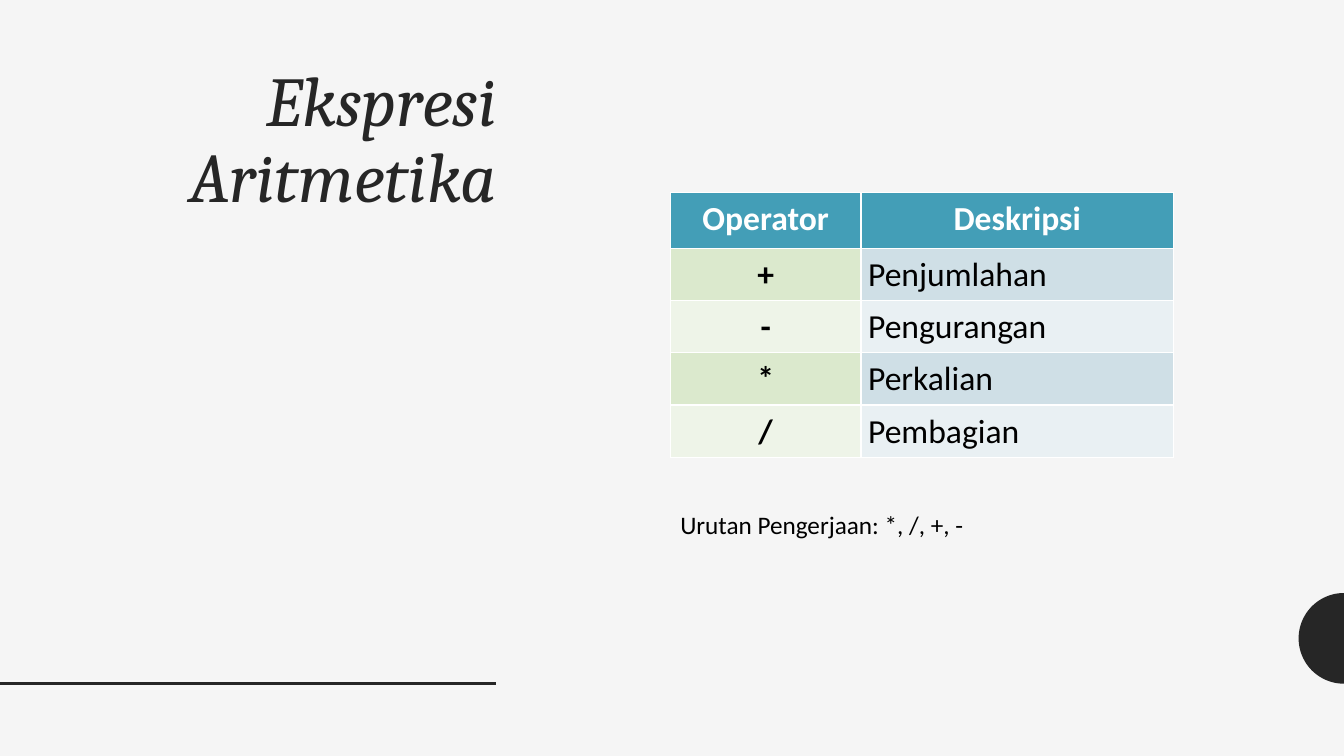
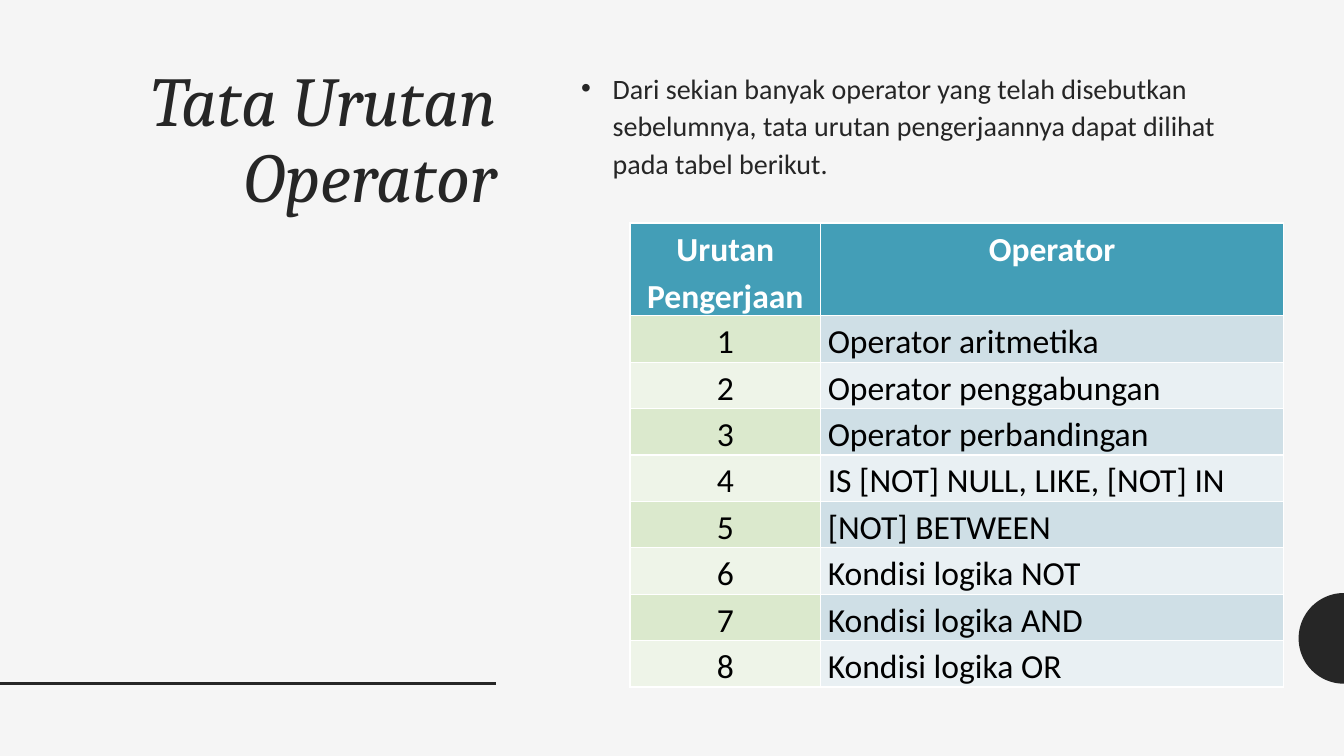
import math
from collections import namedtuple
from dataclasses import dataclass

import lxml.etree
import pptx
import pptx.dml.color
import pptx.enum.shapes
import pptx.enum.text
import pptx.oxml
import pptx.oxml.ns
import pptx.util

Box = namedtuple("Box", "x y w h")
ALIGN = pptx.enum.text.PP_ALIGN
qn = pptx.oxml.ns.qn


@dataclass(frozen=True)
class Theme:
    paper: str = "F5F5F5"
    ink: str = "262626"
    black: str = "000000"
    white: str = "FFFFFF"
    header: str = "439EB7"
    key_bands: tuple = ("DBE9CD", "EEF4E8")
    text_bands: tuple = ("CFDFE6", "E9F0F3")
    title_font: str = "Cambria"
    body_font: str = "Calibri"
    title_size: int = 50
    table_size: int = 24
    body_size: int = 20
    note_size: int = 18


T = Theme()
COLUMNS, ROWS = 160, 90
prs = pptx.Presentation()
prs.slide_width = pptx.util.Inches(13.33)
prs.slide_height = pptx.util.Inches(7.5)

# Grid regions shared by the slides
TITLE = Box(10, 7.3, 50.3, 65)
RULE = Box(0, 81.4, 59, 0)
DISC = Box(154.6, 70.6, 5.4, 10.8)


def gx(columns):
    return round(prs.slide_width * columns / COLUMNS)


def gy(rows):
    return round(prs.slide_height * rows / ROWS)


def place(box):
    return gx(box.x), gy(box.y), gx(box.w), gy(box.h)


def rgb(code):
    return pptx.dml.color.RGBColor.from_string(code)


def paint(fill, code):
    fill.solid()
    fill.fore_color.rgb = rgb(code)


def write(tf, text, size, color, font=T.body_font, bold=False, italic=False,
          align=ALIGN.LEFT, leading=1.0, before=0, after=0):
    tf.word_wrap = True
    p = tf.paragraphs[0]
    p.alignment, p.line_spacing = align, leading
    p.space_before, p.space_after = pptx.util.Pt(before), pptx.util.Pt(after)
    r = p.add_run()
    r.text = text
    r.font.name, r.font.size = font, pptx.util.Pt(size)
    r.font.bold, r.font.italic = bold, italic
    r.font.color.rgb = rgb(color)
    return p


def add_text(s, box, text, size, color, **style):
    return write(s.shapes.add_textbox(*place(box)).text_frame, text, size, color, **style)


def add_half_disc(s, box, steps=48):
    right, middle = gx(box.x + box.w), gy(box.y + box.h / 2)
    angles = [math.pi * (0.5 + i / steps) for i in range(steps + 1)]
    points = [(round(right + gx(box.w) * math.cos(a)),
               round(middle + gy(box.h / 2) * math.sin(a))) for a in angles]
    builder = s.shapes.build_freeform(*points[0], scale=1.0)
    builder.add_line_segments(points[1:], close=True)
    sp = builder.convert_to_shape()
    sp.shadow.inherit = False
    paint(sp.fill, T.ink)
    sp.line.fill.background()


def add_rule(s, box):
    x, y, w, h = place(box)
    line = s.shapes.add_connector(pptx.enum.shapes.MSO_CONNECTOR.STRAIGHT, x, y, x + w, y + h)
    line.line.color.rgb = rgb(T.ink)
    line.line.width = pptx.util.Pt(2)
    lxml.etree.SubElement(line._element.spPr, qn("a:effectLst"))


def add_slide(title):
    s = prs.slides.add_slide(prs.slide_layouts[6])
    paint(s.background.fill, T.paper)
    add_half_disc(s, DISC)
    add_rule(s, RULE)
    add_text(s, TITLE, title, T.title_size, T.ink, font=T.title_font,
             italic=True, align=ALIGN.RIGHT, leading=0.9)
    return s


def add_bullet(p, indent):
    pPr = p._p.get_or_add_pPr()
    pPr.set("marL", str(indent))
    pPr.set("indent", str(-indent))
    lxml.etree.SubElement(pPr, qn("a:buFont")).set("typeface", "Arial")
    lxml.etree.SubElement(pPr, qn("a:buChar")).set("char", "•")


def add_borders(cell):
    tcPr = cell._tc.get_or_add_tcPr()
    for i, side in enumerate(("lnL", "lnR", "lnT", "lnB")):
        ln = pptx.oxml.parse_xml(
            f'<a:{side} xmlns:a="http://schemas.openxmlformats.org/drawingml/2006/main" '
            f'w="{pptx.util.Pt(1)}"><a:solidFill><a:srgbClr val="{T.white}"/>'
            f'</a:solidFill></a:{side}>')
        tcPr.insert(i, ln)


def add_operator_table(s, box, key_width, header_height, rows, bold_keys):
    table = s.shapes.add_table(len(rows), 2, *place(box)).table
    table.horz_banding = False
    for column, width in zip(table.columns, (key_width, box.w - key_width)):
        column.width = gx(width)
    row_height = (box.h - header_height) / (len(rows) - 1)
    for i, values in enumerate(rows):
        table.rows[i].height = gy(row_height if i else header_height)
        for j, value in enumerate(values):
            cell = table.cell(i, j)
            cell.margin_left = cell.margin_right = gx(0.85)
            cell.margin_top = cell.margin_bottom = 0
            bands = (T.key_bands, T.text_bands)[j]
            paint(cell.fill, bands[(i - 1) % 2] if i else T.header)
            add_borders(cell)
            write(cell.text_frame, value, T.table_size, T.black if i else T.white,
                  bold=i == 0 or (j == 0 and bold_keys),
                  align=ALIGN.JUSTIFY if i and j else ALIGN.CENTER,
                  leading=1.15, after=10)


def arithmetic_slide():
    s = add_slide("Ekspresi Aritmetika")
    rows = [("Operator", "Deskripsi"), ("+", "Penjumlahan"), ("-", "Pengurangan"),
            ("*", "Perkalian"), ("/", "Pembagian")]
    add_operator_table(s, Box(79.8, 22.95, 59.9, 31.5), 22.7, 6.6, rows, bold_keys=True)
    add_text(s, Box(79.8, 60, 70, 4.8), "Urutan Pengerjaan: *, /, +, -", T.note_size, T.black)


def precedence_slide():
    s = add_slide("Tata Urutan Operator")
    # Introduction
    p = add_text(s, Box(68, 7.4, 82, 18),
                 "Dari sekian banyak operator yang telah disebutkan sebelumnya, "
                 "tata urutan pengerjaannya dapat dilihat pada tabel berikut.",
                 T.body_size, T.ink, leading=1.12, before=9)
    add_bullet(p, gx(3.75))
    # Order of evaluation
    operators = ["Operator aritmetika", "Operator penggabungan", "Operator perbandingan",
                 "IS [NOT] NULL, LIKE, [NOT] IN", "[NOT] BETWEEN",
                 "Kondisi logika NOT", "Kondisi logika AND", "Kondisi logika OR"]
    rows = [("Urutan Pengerjaan", "Operator")]
    rows += [(str(n), name) for n, name in enumerate(operators, 1)]
    add_operator_table(s, Box(75, 26.55, 77.8, 52), 22.7, 10.4, rows, bold_keys=False)


arithmetic_slide()
precedence_slide()
prs.save("out.pptx")
